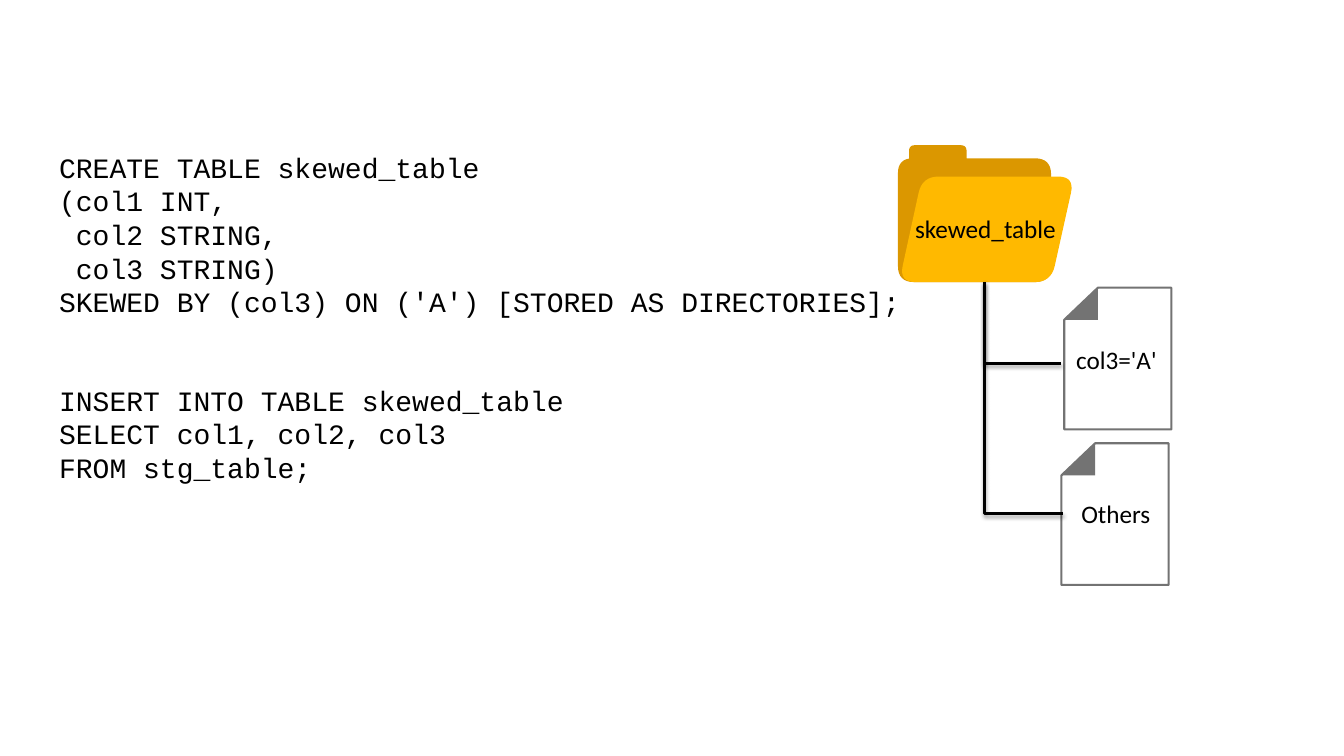
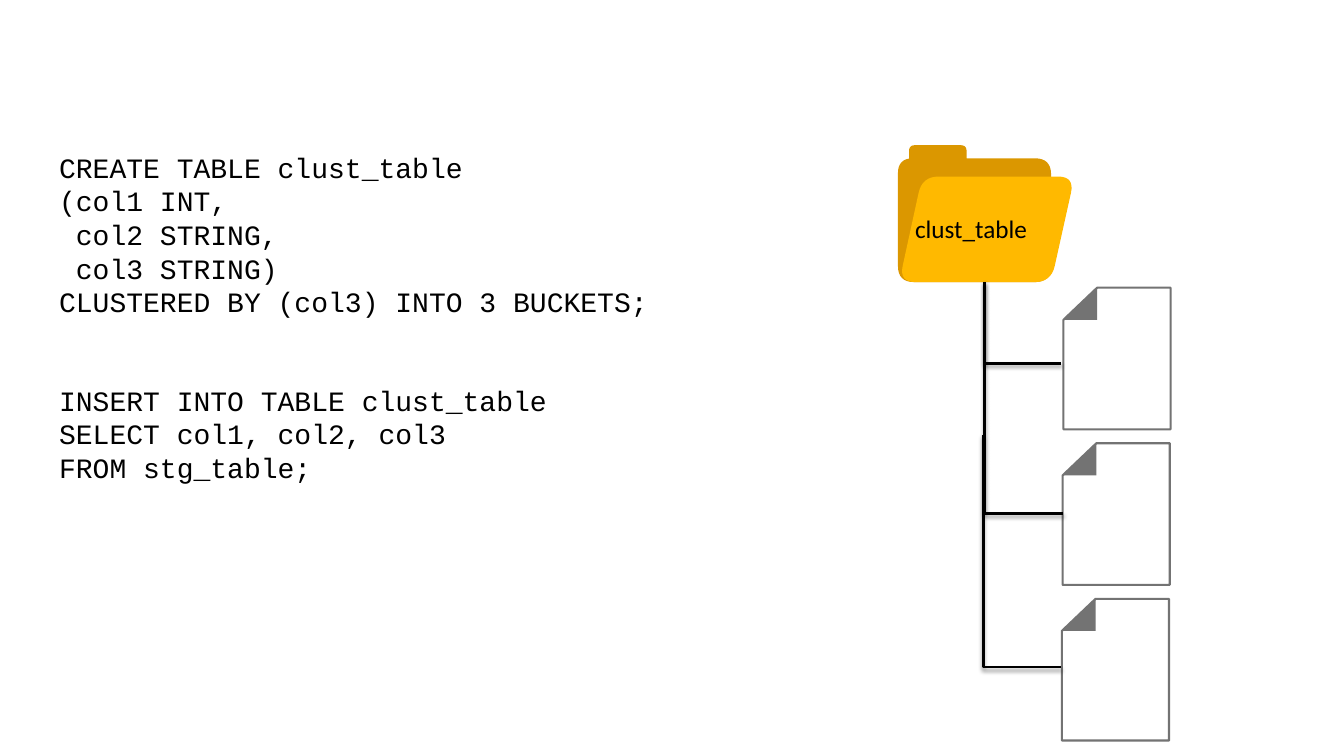
import pptx
import pptx.dml.color
import pptx.enum.shapes
import pptx.enum.text
import pptx.oxml
import pptx.oxml.ns
import pptx.util

Cm = pptx.util.Cm
Pt = pptx.util.Pt

COLORS = {
    "text": "000000",
    "branch": "000000",
    "folder_back": "DB9700",
    "folder_front": "FFB900",
    "paper": "FFFFFF",
    "paper_edge": "737373",
}
CODE_FONT, LABEL_FONT = "Courier New", "Calibri"

# Folder corners in cm: x, y, corner radius
FOLDER_BACK = [
    (22.91, 3.99, 0), (22.91, 3.66, 0.15), (24.36, 3.66, 0.15), (24.36, 3.99, 0),
    (26.49, 3.99, 0.41), (26.49, 7.11, 0.41), (22.63, 7.11, 0.41), (22.63, 3.99, 0.38),
]
FOLDER_FRONT = [
    (23.24, 4.45, 0.42), (27.08, 4.45, 0.42), (26.49, 7.11, 0.42), (22.66, 7.11, 0.42),
]
FILE_WIDTH, FILE_HEIGHT = 2.7, 3.57
FOLD_WIDTH, FOLD_HEIGHT = 0.85, 0.81
FILE_TOP, FILE_STEP = 7.25, 3.92

SHADOW = (
    '<a:effectLst %s><a:outerShdw blurRad="39370" dist="20320" dir="5400000" rotWithShape="0">'
    '<a:srgbClr val="000000"><a:alpha val="38000"/></a:srgbClr>'
    "</a:outerShdw></a:effectLst>" % pptx.oxml.ns.nsdecls("a")
)


def rgb(name):
    return pptx.dml.color.RGBColor.from_string(COLORS[name])


def rounded(corners, steps=8):
    """Return the outline points of a polygon whose corners are rounded."""
    points = []
    for index, (x, y, radius) in enumerate(corners):
        if not radius:
            points.append((x, y))
            continue
        ends = []
        for nx, ny, _ in (corners[index - 1], corners[(index + 1) % len(corners)]):
            share = radius / ((nx - x) ** 2 + (ny - y) ** 2) ** 0.5
            ends.append((x + (nx - x) * share, y + (ny - y) * share))
        (ax, ay), (bx, by) = ends
        for step in range(steps + 1):
            t = step / steps
            a, c, b = (1 - t) ** 2, 2 * t * (1 - t), t ** 2
            points.append((a * ax + c * x + b * bx, a * ay + c * y + b * by))
    return points


def write_text(frame, lines, font=LABEL_FONT, size=18, color="text"):
    frame.word_wrap = False
    frame.auto_size = pptx.enum.text.MSO_AUTO_SIZE.SHAPE_TO_FIT_TEXT
    for index, line in enumerate(lines):
        para = frame.add_paragraph() if index else frame.paragraphs[0]
        span = para.add_run()
        span.text = line
        span.font.name = font
        span.font.size = Pt(size)
        span.font.color.rgb = rgb(color)


class StorageDeck:
    def __init__(self):
        self.deck = pptx.Presentation()
        self.deck.slide_width, self.deck.slide_height = Cm(33.87), Cm(19.05)
        self.page = None

    def add_page(self):
        self.page = self.deck.slides.add_slide(self.deck.slide_layouts[6])

    def text(self, shapes, left, top, width, height, lines, **style):
        box = shapes.add_textbox(Cm(left), Cm(top), Cm(width), Cm(height))
        write_text(box.text_frame, lines, **style)

    def code(self, top, width, height, lines):
        self.text(self.page.shapes, 1.24, top, width, height, lines,
                  font=CODE_FONT, size=20)

    def outline(self, shapes, points, fill, edge=None):
        points = [(Cm(x), Cm(y)) for x, y in points]
        builder = shapes.build_freeform(*points[0], scale=1.0)
        builder.add_line_segments(points[1:], close=True)
        shape = builder.convert_to_shape()
        shape.shadow.inherit = False
        shape.fill.solid()
        shape.fill.fore_color.rgb = rgb(fill)
        if edge:
            shape.line.color.rgb = rgb(edge)
            shape.line.width = Pt(1.5)
        else:
            shape.line.fill.background()

    def folder(self, name, width):
        shapes = self.page.shapes.add_group_shape().shapes
        self.outline(shapes, rounded(FOLDER_BACK), "folder_back")
        self.outline(shapes, rounded(FOLDER_FRONT), "folder_front")
        self.text(shapes, 22.81, 5.26, width, 1.02, [name])

    def file(self, row, left, label=None):
        """Draw a sheet with a folded corner; label is left, top, width, text."""
        shapes = self.page.shapes.add_group_shape().shapes
        top = FILE_TOP + row * FILE_STEP
        right, bottom = left + FILE_WIDTH, top + FILE_HEIGHT
        fold_x, fold_y = left + FOLD_WIDTH, top + FOLD_HEIGHT
        fold = [(left, fold_y), (fold_x, top)]
        self.outline(shapes, [(right, bottom), (left, bottom), *fold, (right, top)],
                     "paper", "paper_edge")
        self.outline(shapes, [(fold_x, fold_y), *fold], "paper_edge")
        if label:
            label_left, label_top, width, text = label
            self.text(shapes, label_left, label_top, width, 1.02, [text])

    def branch(self, x, y, end_x, end_y):
        """Draw an elbow that runs down, then right."""
        middle_x, middle_y = (x + end_x) / 2, (y + end_y) / 2
        half_run, half_drop = (end_x - x) / 2, (end_y - y) / 2
        # The one-bend preset runs across first, so its box is turned a quarter.
        line = self.page.shapes.add_connector(
            pptx.enum.shapes.MSO_CONNECTOR.ELBOW,
            Cm(middle_x + half_drop), Cm(middle_y - half_run),
            Cm(middle_x - half_drop), Cm(middle_y + half_run))
        line.line.color.rgb = rgb("branch")
        line.line.width = Pt(2)
        properties = line._element.spPr
        properties.find(pptx.oxml.ns.qn("a:xfrm")).set("rot", "16200000")
        properties.find(pptx.oxml.ns.qn("a:prstGeom")).set("prst", "bentConnector2")
        properties.append(pptx.oxml.parse_xml(SHADOW))

    def table_page(self, table, clause, code_width, insert_width, label_width,
                   files, branches):
        self.add_page()
        self.code(3.66, code_width, 4.52, [
            f"CREATE TABLE {table}", "(col1 INT,", " col2 STRING,", " col3 STRING)", clause])
        self.folder(table, label_width)
        self.code(9.53, insert_width, 2.82, [
            f"INSERT INTO TABLE {table}", "SELECT col1, col2, col3", "FROM stg_table;"])
        for row, file in enumerate(files):
            self.file(row, *file)
        for ends in branches:
            self.branch(*ends)


def main():
    branches = [(24.82, 7.11, 26.75, 9.17), (24.82, 7.11, 26.8, 12.95)]
    storage = StorageDeck()
    storage.table_page(
        "skewed_table", "SKEWED BY (col3) ON ('A') [STORED AS DIRECTORIES];",
        21.89, 13.34, 4.09,
        [(26.82, (26.87, 8.56, 2.57, "col3='A'")), (26.75, (27, 12.42, 2.26, "Others"))],
        branches)
    storage.table_page(
        "clust_table", "CLUSTERED BY (col3) INTO 3 BUCKETS;",
        15.47, 12.9, 3.38,
        [(26.8,), (26.78,), (26.76,)],
        branches + [(24.79, 10.97, 26.75, 16.81)])
    storage.deck.save("out.pptx")


if __name__ == "__main__":
    main()
